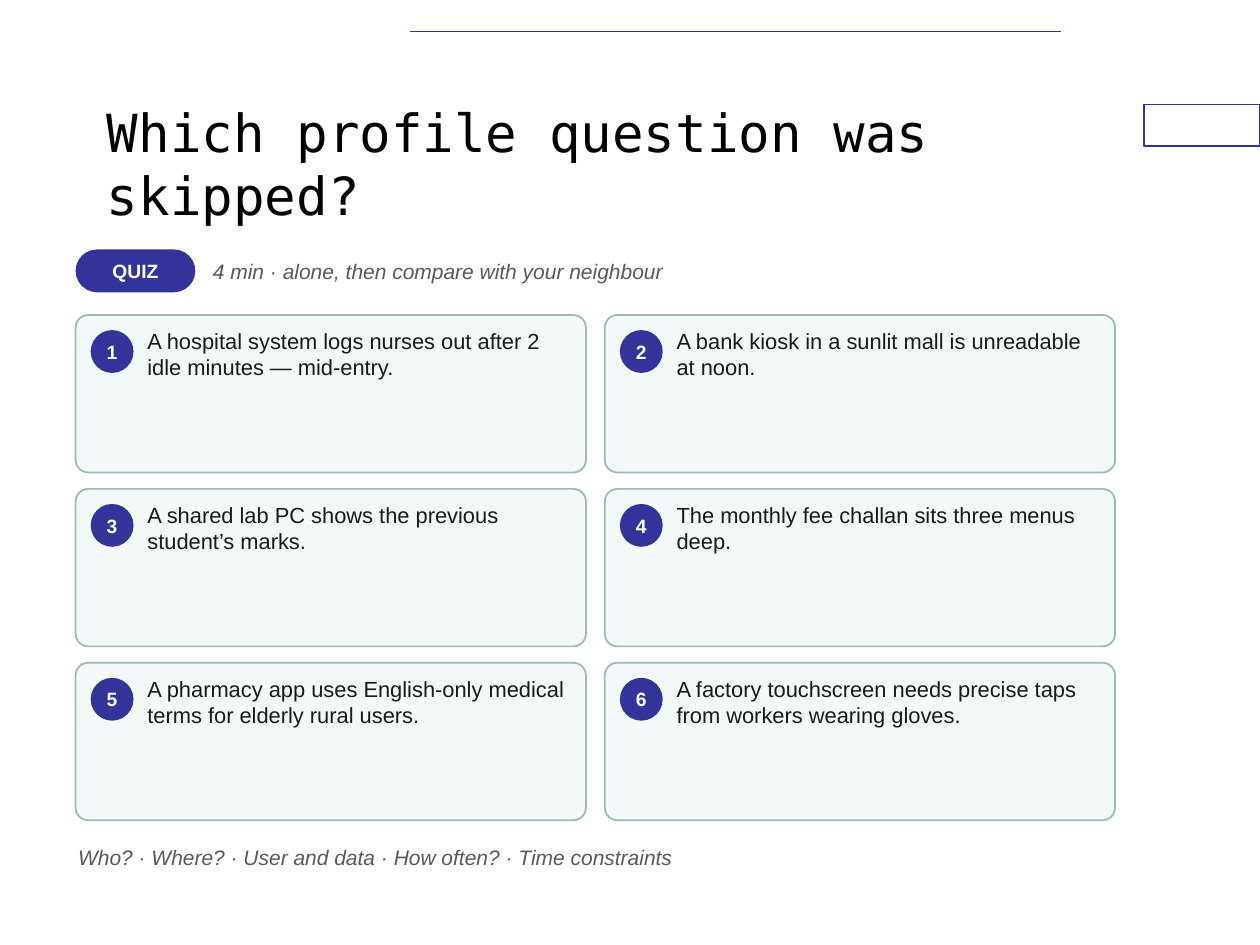
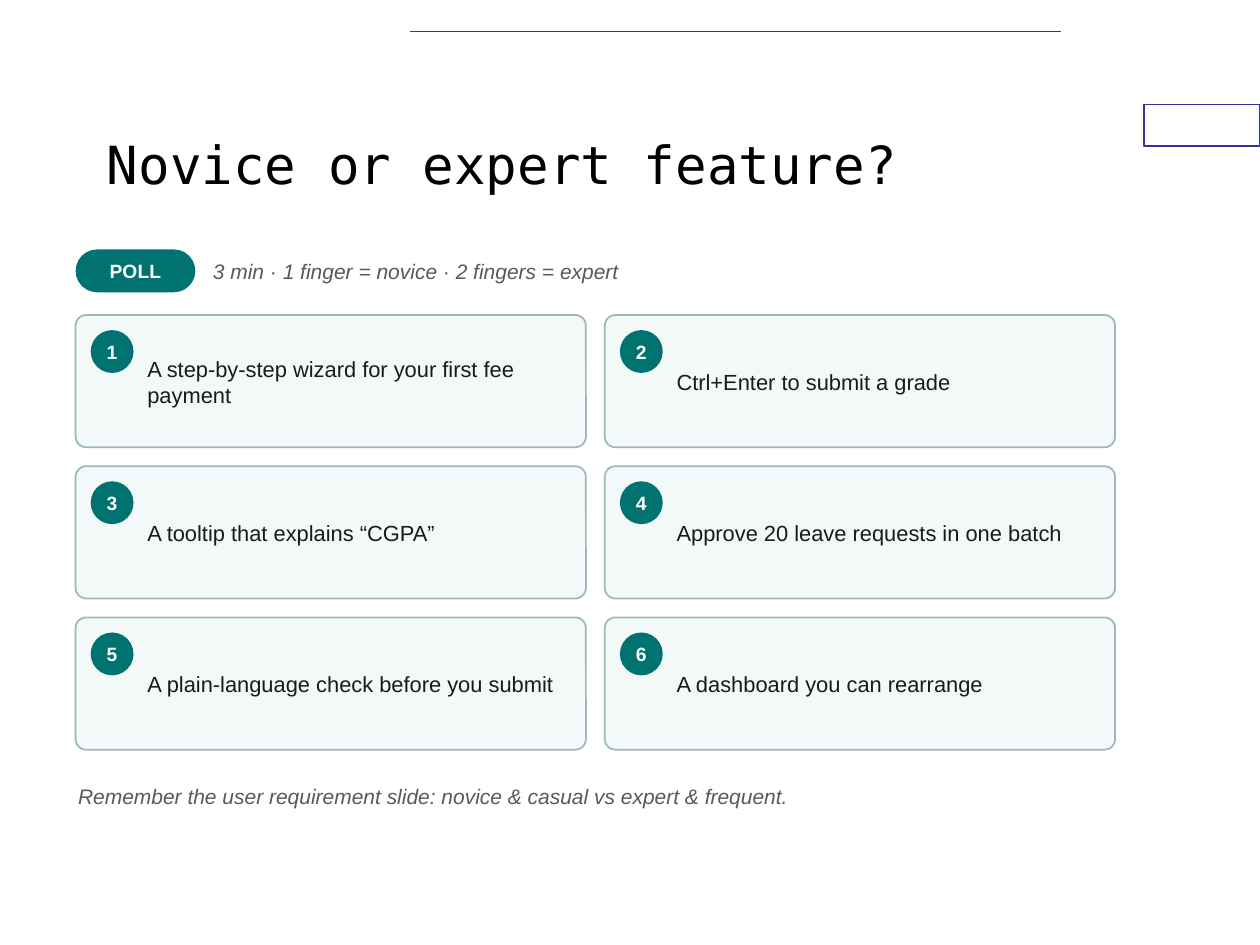
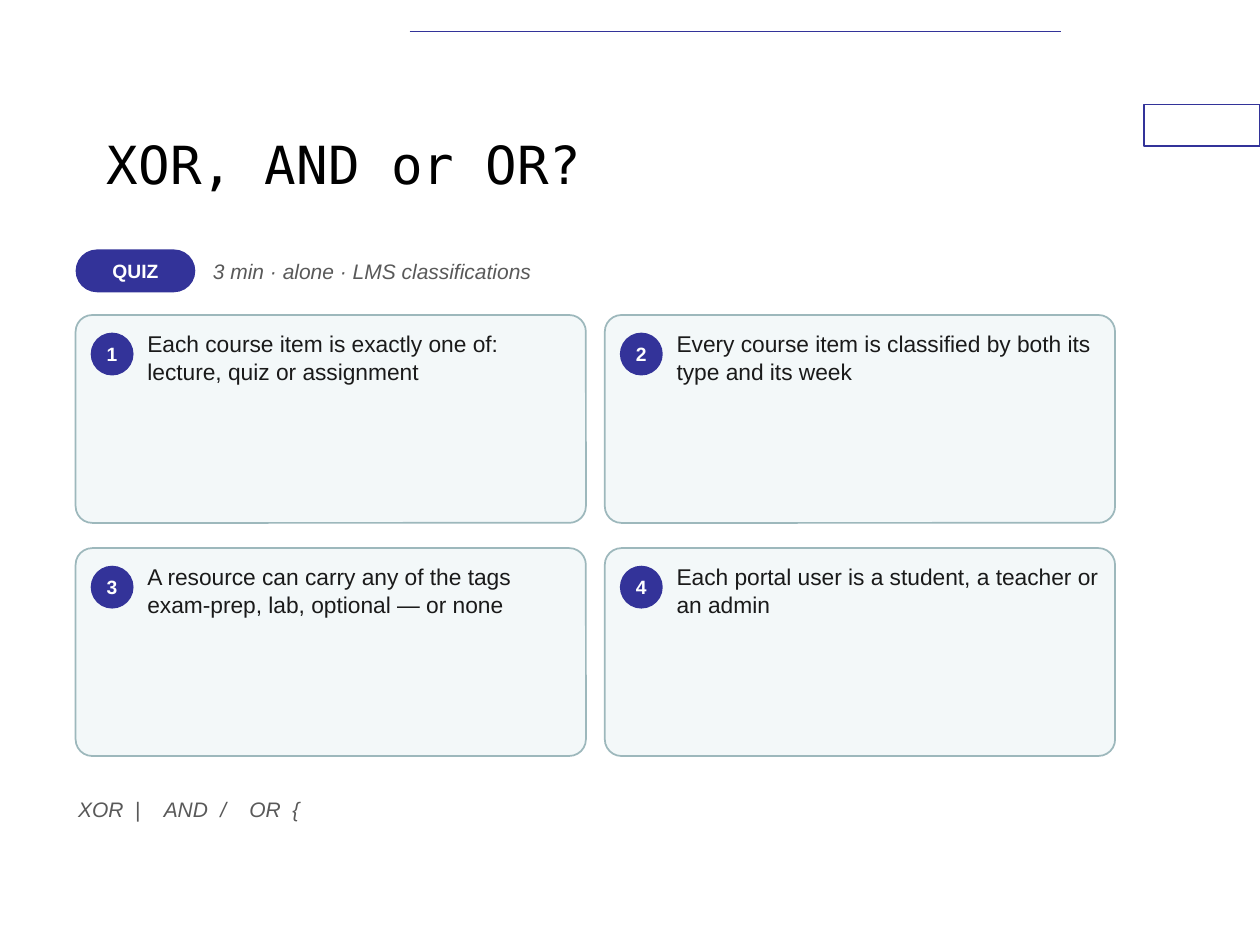
import dataclasses

import lxml.etree
import pptx
import pptx.dml.color
import pptx.enum.shapes
import pptx.enum.text
import pptx.oxml.ns
import pptx.util

Inches = pptx.util.Inches
Pt = pptx.util.Pt
RGBColor = pptx.dml.color.RGBColor
Shape = pptx.enum.shapes.MSO_SHAPE
Anchor = pptx.enum.text.MSO_ANCHOR
Align = pptx.enum.text.PP_ALIGN

INDIGO = RGBColor(0x33, 0x33, 0x99)
TEAL = RGBColor(0x00, 0x72, 0x6F)
CARD_FILL = RGBColor(0xF3, 0xF8, 0xF9)
CARD_LINE = RGBColor(0x9D, 0xB8, 0xBC)
INK = RGBColor(0x1A, 0x1A, 0x1A)
GREY = RGBColor(0x59, 0x59, 0x59)
BLACK = RGBColor(0, 0, 0)
WHITE = RGBColor(0xFF, 0xFF, 0xFF)

BODY_FONT = "Arial"
TITLE_FONT = "DejaVu Sans Mono"
LEFT = 0.6
CARD_TOP = 2.5
CARD_WIDTH = 4.05
COLUMN_PITCH = 4.2
BADGE_SIZE = 0.34


@dataclasses.dataclass
class CardGrid:
    height: float
    pitch: float
    text_height: float
    text_offset: float = 0.08
    badge_offset: float = 0.12
    size: float = 12.5
    anchor: Anchor = Anchor.TOP


def write(shape, text, size, color, font=BODY_FONT, bold=False, italic=False,
          anchor=Anchor.TOP, align=Align.LEFT, insets=(0.02, 0.02)):
    text_frame = shape.text_frame
    text_frame.word_wrap = True
    text_frame.vertical_anchor = anchor
    text_frame.margin_left = text_frame.margin_right = Inches(insets[0])
    text_frame.margin_top = text_frame.margin_bottom = Inches(insets[1])
    text_frame.text = text
    paragraph = text_frame.paragraphs[0]
    paragraph.alignment = align
    for run in paragraph.runs:
        run.font.name = font
        run.font.size = Pt(size)
        run.font.bold = bold
        run.font.italic = italic
        run.font.color.rgb = color


def add_text(slide, left, top, width, height, text, size, color, **style):
    box = slide.shapes.add_textbox(
        Inches(left), Inches(top), Inches(width), Inches(height))
    write(box, text, size, color, **style)
    return box


def add_block(slide, kind, left, top, width, height, fill,
              line=None, line_width=1, rounding=None):
    shape = slide.shapes.add_shape(
        kind, Inches(left), Inches(top), Inches(width), Inches(height))
    shape.shadow.inherit = False
    shape.fill.solid()
    shape.fill.fore_color.rgb = fill
    if line is None:
        shape.line.fill.background()
    else:
        shape.line.color.rgb = line
        shape.line.width = Pt(line_width)
    if rounding is not None:
        shape.adjustments[0] = rounding
    return shape


def add_label(slide, kind, left, top, width, height, fill, text, inset, rounding=None):
    label = add_block(slide, kind, left, top, width, height, fill, rounding=rounding)
    write(label, text, 11, WHITE, bold=True, anchor=Anchor.MIDDLE,
          align=Align.CENTER, insets=(inset, inset))


def add_frame(slide):
    add_block(slide, Shape.RECTANGLE, 9.08, 0.83, 0.92, 0.33, WHITE, INDIGO, 0.75)
    rule = slide.shapes.add_connector(
        pptx.enum.shapes.MSO_CONNECTOR.STRAIGHT,
        Inches(3.25), Inches(0.25), Inches(8.42), Inches(0.25))
    rule.line.color.rgb = INDIGO
    rule.line.width = Pt(1)
    lxml.etree.SubElement(rule.element.spPr, pptx.oxml.ns.qn("a:effectLst"))


def add_header(slide, title, activity, instruction, accent):
    add_text(slide, 0.75, 0.67, 7.5, 1.25, title, 30, BLACK, font=TITLE_FONT,
             anchor=Anchor.MIDDLE, insets=(0.1, 0.05))
    add_label(slide, Shape.ROUNDED_RECTANGLE, LEFT, 1.98, 0.95, 0.34, accent,
              activity, 0.03, rounding=0.5)
    add_text(slide, 1.67, 1.98, 7.23, 0.34, instruction, 12, GREY,
             italic=True, anchor=Anchor.MIDDLE)


def add_card(slide, left, top, number, text, accent, grid):
    add_block(slide, Shape.ROUNDED_RECTANGLE, left, top, CARD_WIDTH, grid.height,
              CARD_FILL, CARD_LINE, rounding=0.08)
    add_label(slide, Shape.OVAL, left + 0.12, top + grid.badge_offset,
              BADGE_SIZE, BADGE_SIZE, accent, str(number), 0)
    add_text(slide, left + 0.55, top + grid.text_offset, 3.4, grid.text_height,
             text, grid.size, INK, anchor=grid.anchor)


def add_cards(slide, texts, accent, grid):
    for index, text in enumerate(texts):
        row, column = divmod(index, 2)
        add_card(slide, LEFT + column * COLUMN_PITCH, CARD_TOP + row * grid.pitch,
                 index + 1, text, accent, grid)


def add_footnote(slide, top, text, tab_stops=()):
    box = add_text(slide, LEFT, top, 8.3, 0.5, text, 12, GREY, italic=True)
    if tab_stops:
        properties = box.text_frame.paragraphs[0]._p.get_or_add_pPr()
        tab_list = lxml.etree.SubElement(properties, pptx.oxml.ns.qn("a:tabLst"))
        for position in tab_stops:
            lxml.etree.SubElement(tab_list, pptx.oxml.ns.qn("a:tab"),
                                  pos=str(Inches(position)), algn="l")


def add_activity_slide(presentation, title, activity, instruction, accent,
                       grid, texts, footnote_top, footnote, tab_stops=()):
    slide = presentation.slides.add_slide(presentation.slide_layouts[6])
    add_frame(slide)
    add_header(slide, title, activity, instruction, accent)
    add_cards(slide, texts, accent, grid)
    add_footnote(slide, footnote_top, footnote, tab_stops)


def main():
    presentation = pptx.Presentation()
    presentation.slide_width = Inches(10)
    presentation.slide_height = Inches(7.5)

    add_activity_slide(
        presentation, "Which profile question was skipped?", "QUIZ",
        "4 min · alone, then compare with your neighbour", INDIGO,
        CardGrid(height=1.25, pitch=1.38, text_height=1.05),
        ["A hospital system logs nurses out after 2 idle minutes — mid-entry.",
         "A bank kiosk in a sunlit mall is unreadable at noon.",
         "A shared lab PC shows the previous student’s marks.",
         "The monthly fee challan sits three menus deep.",
         "A pharmacy app uses English-only medical terms for elderly rural users.",
         "A factory touchscreen needs precise taps from workers wearing gloves."],
        6.68, "Who? · Where? · User and data · How often? · Time constraints")

    add_activity_slide(
        presentation, "Novice or expert feature?", "POLL",
        "3 min · 1 finger = novice · 2 fingers = expert", TEAL,
        CardGrid(height=1.05, pitch=1.2, text_height=0.9, anchor=Anchor.MIDDLE),
        ["A step-by-step wizard for your first fee payment",
         "Ctrl+Enter to submit a grade",
         "A tooltip that explains “CGPA”",
         "Approve 20 leave requests in one batch",
         "A plain-language check before you submit",
         "A dashboard you can rearrange"],
        6.2, "Remember the user requirement slide: novice & casual vs expert & frequent.")

    add_activity_slide(
        presentation, "XOR, AND or OR?", "QUIZ",
        "3 min · alone · LMS classifications", INDIGO,
        CardGrid(height=1.65, pitch=1.85, text_height=1.4, text_offset=0.1,
                 badge_offset=0.14, size=13),
        ["Each course item is exactly one of: lecture, quiz or assignment",
         "Every course item is classified by both its type and its week",
         "A resource can carry any of the tags exam-prep, lab, optional — or none",
         "Each portal user is a student, a teacher or an admin"],
        6.3, "XOR\t|\tAND\t/\tOR\t{", tab_stops=(0.45, 0.68, 1.13, 1.36, 1.7))

    presentation.save("out.pptx")


if __name__ == "__main__":
    main()
